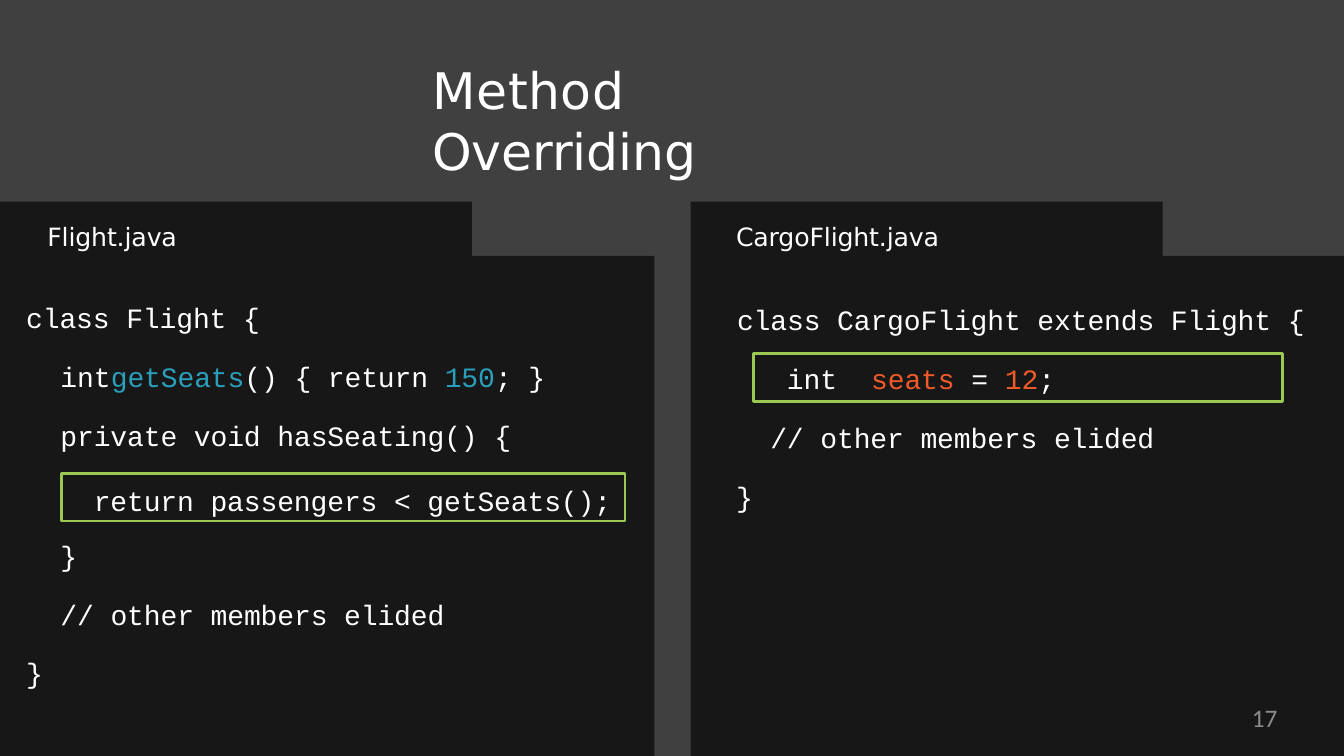
from dataclasses import dataclass

from lxml import etree
from pptx import Presentation
from pptx.dml.color import RGBColor
from pptx.enum import shapes, text
from pptx.oxml.ns import qn
from pptx.util import Inches, Pt


@dataclass(frozen=True)
class Theme:
    background: str = "404040"
    panel: str = "171717"
    white: str = "FFFFFF"
    method: str = "2A9FBC"
    field: str = "F05A28"
    highlight: str = "9BC850"
    muted: str = "8C8C8C"
    heading_font: str = "DejaVu Sans"
    code_font: str = "Courier New"
    number_font: str = "Calibri"
    title_size: float = 36
    label_size: float = 18
    code_size: float = 20


THEME = Theme()


@dataclass(frozen=True)
class Box:
    left: float
    top: float
    width: float
    height: float

    def lengths(self):
        return [Inches(v) for v in (self.left, self.top, self.width, self.height)]


@dataclass(frozen=True)
class Piece:
    text: str
    color: str = THEME.white
    spacing: float = -0.1


@dataclass(frozen=True)
class Line:
    pieces: tuple[Piece, ...]
    margin: float = 0.01
    indent: float = 0
    before: float = 0
    spacing: float = 1
    tab: float = 0
    font: str = THEME.code_font
    size: float = THEME.code_size
    align: text.PP_ALIGN = text.PP_ALIGN.LEFT


def label(name: str, margin: float = 0.01) -> Line:
    return Line((Piece(name),), margin, font=THEME.heading_font, size=THEME.label_size)


def code(source: str, margin: float = 0.01, before: float = 0) -> Line:
    return Line((Piece(source),), margin, before=before)


def color(value: str) -> RGBColor:
    return RGBColor.from_string(value)


def write_lines(text_frame, lines: list[Line], top_inset: float = 0.02) -> None:
    text_frame.word_wrap = True
    text_frame.auto_size = text.MSO_AUTO_SIZE.NONE
    text_frame.vertical_anchor = text.MSO_ANCHOR.TOP
    text_frame.margin_left = text_frame.margin_right = text_frame.margin_bottom = 0
    text_frame.margin_top = Inches(top_inset)
    for index, line in enumerate(lines):
        paragraph = text_frame.add_paragraph() if index else text_frame.paragraphs[0]
        properties = paragraph._p.get_or_add_pPr()
        properties.set("marL", str(Inches(line.margin)))
        properties.set("indent", str(Inches(line.indent)))
        if line.tab:
            tabs = etree.SubElement(properties, qn("a:tabLst"))
            etree.SubElement(tabs, qn("a:tab"), pos=str(Inches(line.tab)), algn="l")
        paragraph.alignment = line.align
        paragraph.line_spacing = line.spacing
        paragraph.space_before = Pt(line.before)
        for piece in line.pieces:
            run = paragraph.add_run()
            run.text = piece.text
            run.font.name = line.font
            run.font.size = Pt(line.size)
            run.font.color.rgb = color(piece.color)
            run._r.get_or_add_rPr().set("spc", str(round(piece.spacing * 100)))


def add_text(slide, box: Box, lines: list[Line], top_inset: float = 0.02) -> None:
    write_lines(slide.shapes.add_textbox(*box.lengths()).text_frame, lines, top_inset)


def add_panel(slide, left: float) -> None:
    """Draw a file card with a tab at its upper left."""
    right, tab_right = left + 6.49, left + 4.68
    top, shoulder, bottom = 2, 2.54, 7.5
    builder = slide.shapes.build_freeform(Inches(left), Inches(top), scale=1.0)
    corners = [(tab_right, top), (tab_right, shoulder), (right, shoulder),
               (right, bottom), (left, bottom)]
    builder.add_line_segments([(Inches(x), Inches(y)) for x, y in corners], close=True)
    panel = builder.convert_to_shape()
    panel.shadow.inherit = False
    panel.fill.solid()
    panel.fill.fore_color.rgb = color(THEME.panel)
    panel.line.fill.background()


def add_highlight(slide, box: Box, filled: bool):
    frame = slide.shapes.add_shape(shapes.MSO_SHAPE.RECTANGLE, *box.lengths())
    frame.shadow.inherit = False
    if filled:
        frame.fill.solid()
        frame.fill.fore_color.rgb = color(THEME.panel)
    else:
        frame.fill.background()
    frame.line.color.rgb = color(THEME.highlight)
    frame.line.width = Pt(2)
    return frame


def main() -> None:
    presentation = Presentation()
    presentation.slide_width, presentation.slide_height = Inches(13.33), Inches(7.5)
    slide = presentation.slides.add_slide(presentation.slide_layouts[5])

    # Background and file cards
    slide.background.fill.solid()
    slide.background.fill.fore_color.rgb = color(THEME.background)
    for left in (0, 6.85):
        add_panel(slide, left)

    # Title
    title = slide.shapes.title
    title.left, title.top, title.width, title.height = Box(4.28, 0.57, 4.6, 0.63).lengths()
    write_lines(title.text_frame, [
        Line((Piece("Method ", spacing=0.4), Piece("Overriding")),
             font=THEME.heading_font, size=THEME.title_size),
    ])

    # Flight.java
    seats_call = add_highlight(slide, Box(0.61, 4.7, 5.59, 0.47), filled=True)
    write_lines(seats_call.text_frame,
                [code("return passengers < getSeats();", 0.32)], top_inset=0.1)
    add_text(slide, Box(0.25, 2.18, 5.36, 2.33), [
        label("Flight.java", 0.22),
        code("class Flight {", before=35),
        Line((Piece("int\t"), Piece("getSeats", THEME.method), Piece("() { return "),
              Piece("150", THEME.method), Piece("; }  private void hasSeating() {")),
             margin=0.35, spacing=1.75, tab=1.01),
    ])
    add_text(slide, Box(0.25, 5.32, 4.19, 1.53), [
        code("}", 0.35),
        code("// other members elided", 0.35, before=18),
        code("}", before=18),
    ])

    # CargoFlight.java
    add_text(slide, Box(7.29, 2.18, 5.69, 2.92), [
        label("CargoFlight.java"),
        Line((Piece("class CargoFlight extends Flight {  int\t"),
              Piece("seats ", THEME.field), Piece("= "),
              Piece("12", THEME.field), Piece(";")),
             margin=0.35, indent=-0.33, before=18.4, spacing=1.75, tab=1.01),
        code("// other members elided", 0.35, before=18),
        code("}", before=18),
    ])
    add_highlight(slide, Box(7.47, 3.51, 5.25, 0.47), filled=False)

    # Slide number
    add_text(slide, Box(9.6, 6.97, 3.07, 0.38), [
        Line((Piece("17", THEME.muted, 0),), margin=0, font=THEME.number_font,
             size=THEME.label_size, align=text.PP_ALIGN.RIGHT),
    ], top_inset=0)

    presentation.save("out.pptx")


if __name__ == "__main__":
    main()
